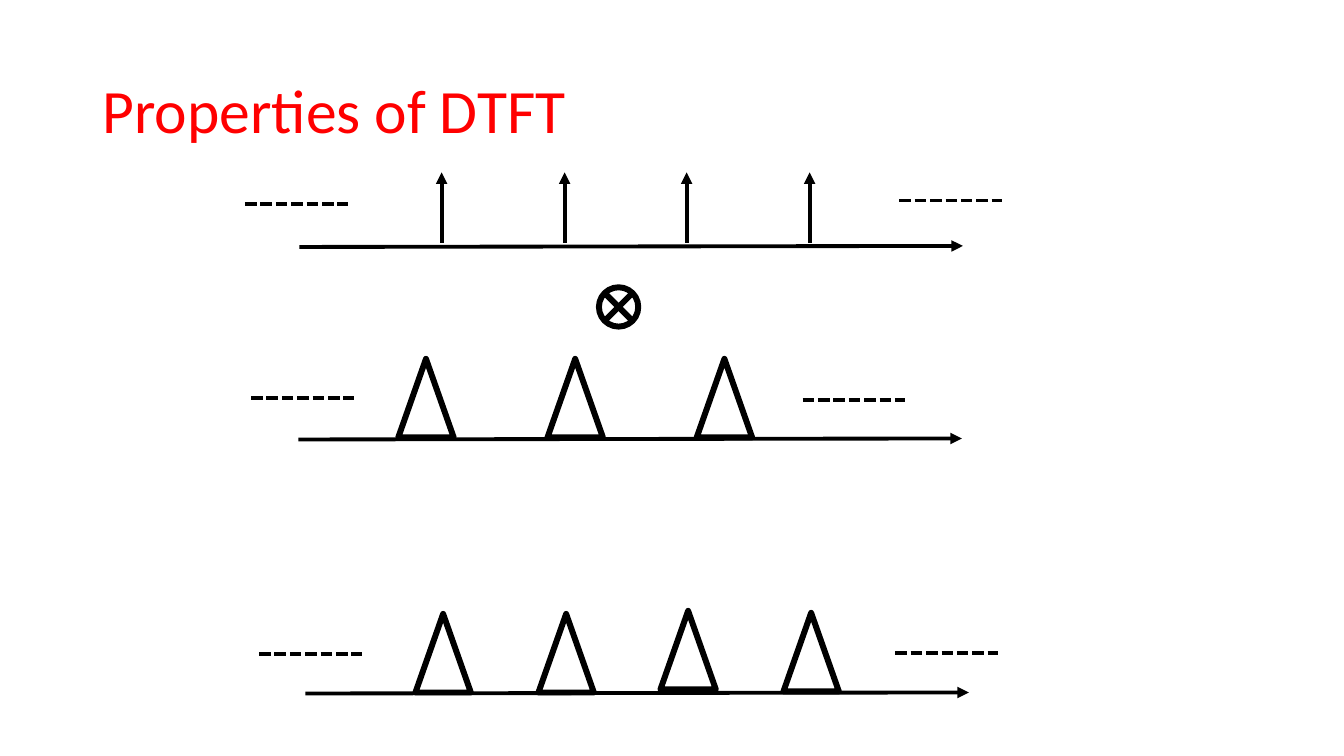
from dataclasses import dataclass

from lxml.etree import SubElement
from pptx import Presentation
from pptx.dml.color import RGBColor
from pptx.enum.dml import MSO_LINE_DASH_STYLE as Dash
from pptx.enum.shapes import MSO_CONNECTOR as Connector, MSO_SHAPE as Shape
from pptx.enum.text import MSO_ANCHOR as Anchor
from pptx.oxml.ns import qn
from pptx.slide import Slide
from pptx.util import Emu, Pt

EMU_PER_PX = 9144
BLACK = "000000"
RED = "FF0000"
AXIS_LENGTH = 658
DASH_LENGTH = 102
IMPULSE_HEIGHT = 70
PULSE_WIDTH, PULSE_HEIGHT = 55, 78


@dataclass(frozen=True)
class Spectrum:
    axis_left: int
    axis_y: int
    left_dashes: tuple[int, int]
    right_dashes: tuple[int, int]
    impulses: tuple[tuple[int, int], ...] = ()
    pulses: tuple[tuple[int, int], ...] = ()


def px(length: int) -> Emu:
    return Emu(length * EMU_PER_PX)


def color(value: str) -> RGBColor:
    return RGBColor.from_string(value)


def evenly(first: int, last: int, count: int) -> list[int]:
    return [round(first + (last - first) * i / (count - 1)) for i in range(count)]


def draw_line(slide: Slide, x1: int, y1: int, x2: int, y2: int, arrow: bool) -> None:
    line = slide.shapes.add_connector(Connector.STRAIGHT, px(x1), px(y1), px(x2), px(y2))
    line.line.color.rgb = color(BLACK)
    line.line.width = Pt(2.75)
    if arrow:
        SubElement(line.line._get_or_add_ln(), qn("a:tailEnd"), type="triangle")
    else:
        line.line.dash_style = Dash.SQUARE_DOT
    SubElement(line._element.spPr, qn("a:effectLst"))


def draw_outline(slide: Slide, kind: Shape, left: int, top: int, width: int, height: int) -> None:
    outline = slide.shapes.add_shape(kind, px(left), px(top), px(width), px(height))
    outline.shadow.inherit = False
    outline.fill.background()
    outline.line.color.rgb = color(BLACK)
    outline.line.width = Pt(4.25)


def draw_spectrum(slide: Slide, spectrum: Spectrum) -> None:
    left, y = spectrum.axis_left, spectrum.axis_y
    draw_line(slide, left, y, left + AXIS_LENGTH, y - 1, True)
    for x, base in spectrum.impulses:
        draw_line(slide, x, base, x, base - IMPULSE_HEIGHT, True)
    for x, top in spectrum.pulses:
        draw_outline(slide, Shape.ISOSCELES_TRIANGLE, x, top, PULSE_WIDTH, PULSE_HEIGHT)
    for x, dash_y in (spectrum.left_dashes, spectrum.right_dashes):
        draw_line(slide, x, dash_y, x + DASH_LENGTH, dash_y, False)


def draw_title(slide: Slide, text: str) -> None:
    title = slide.shapes.add_textbox(px(92), px(40), px(1150), px(145)).text_frame
    title.word_wrap = True
    title.vertical_anchor = Anchor.MIDDLE
    title.text = text
    heading = title.paragraphs[0]
    heading.line_spacing = 0.9
    heading.font.name = "Calibri"
    heading.font.size = Pt(44)
    heading.font.color.rgb = color(RED)


SPECTRA = (
    Spectrum(297, 245, (243, 202), (892, 199),
             impulses=tuple((x, 241) for x in evenly(438, 803, 4))),
    Spectrum(296, 436, (249, 395), (796, 397),
             pulses=tuple((x, 356) for x in evenly(395, 691, 3))),
    Spectrum(303, 688, (257, 649), (888, 648),
             pulses=tuple(zip(evenly(412, 777, 4), (609, 609, 606, 608)))),
)


def main() -> None:
    deck = Presentation()
    deck.slide_width, deck.slide_height = px(1333), px(750)
    slide = deck.slides.add_slide(deck.slide_layouts[6])
    draw_title(slide, "Properties of DTFT")
    for spectrum in SPECTRA:
        draw_spectrum(slide, spectrum)
    draw_outline(slide, Shape.FLOWCHART_SUMMING_JUNCTION, 594, 285, 39, 39)
    deck.save("out.pptx")


if __name__ == "__main__":
    main()
